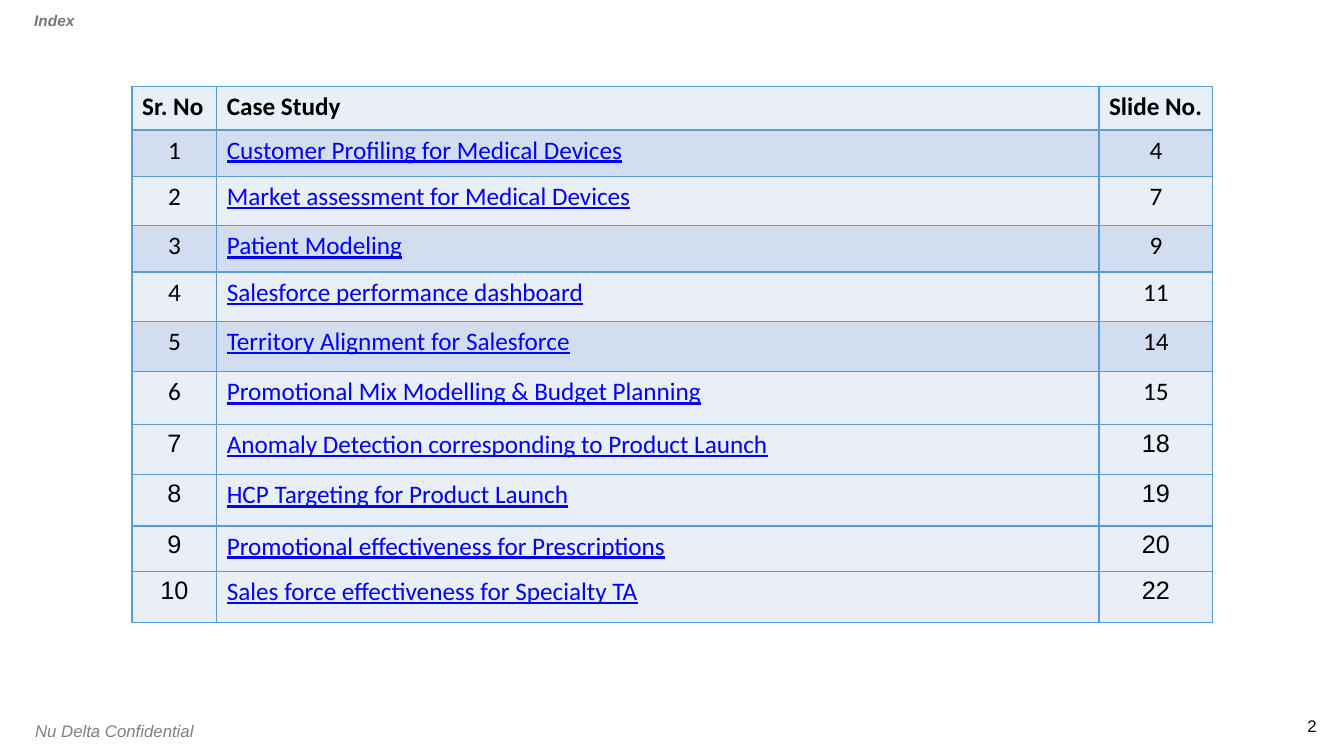
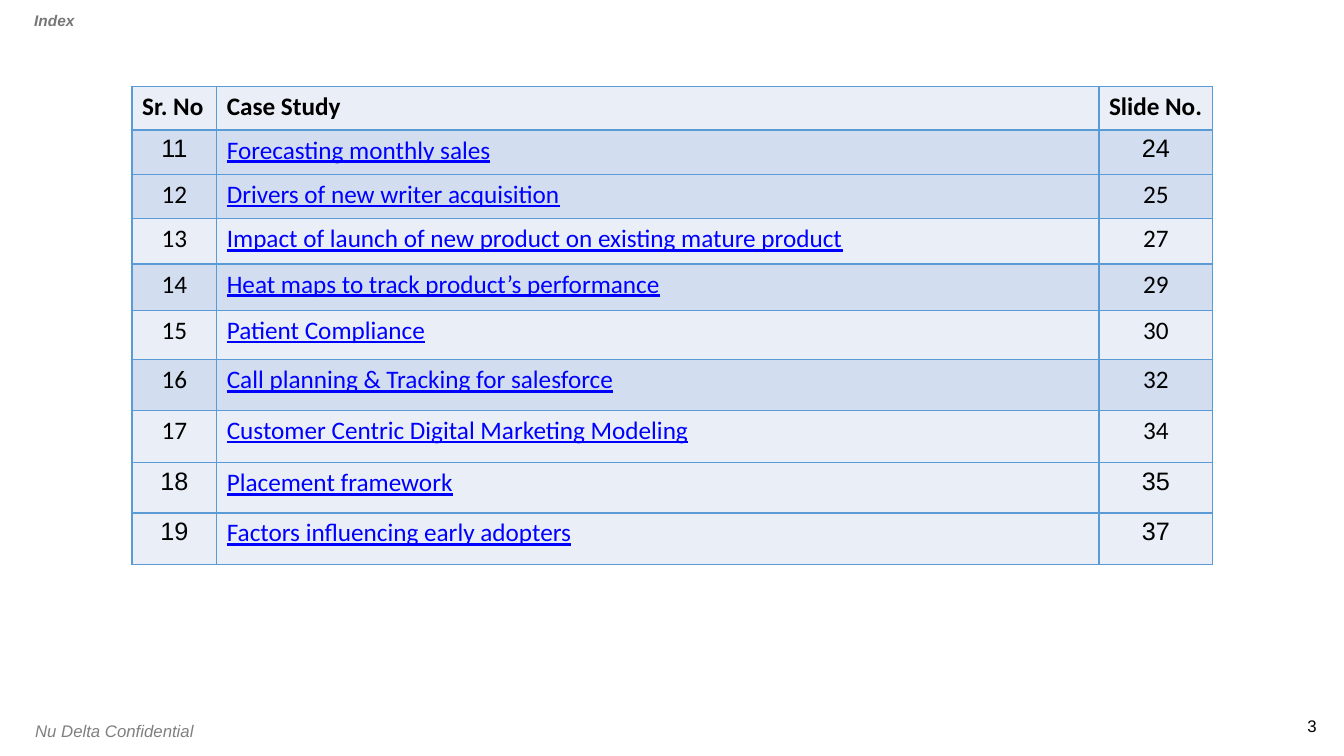
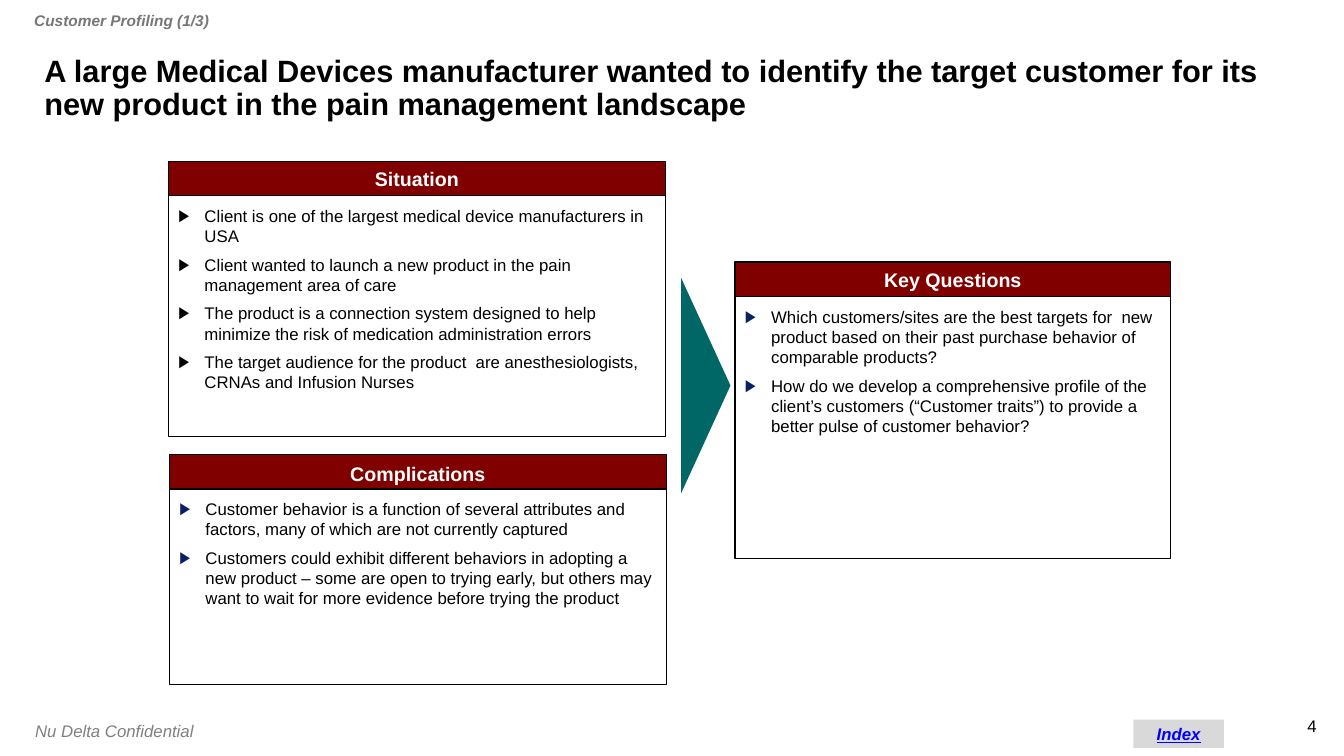
"""Builds two case study index slides and one customer profiling slide."""
from lxml import etree
from pptx import Presentation
from pptx.dml.color import RGBColor
from pptx.enum.shapes import MSO_SHAPE
from pptx.enum.text import MSO_ANCHOR, MSO_AUTO_SIZE, PP_ALIGN
from pptx.oxml.ns import qn
from pptx.util import Inches, Pt

RECT, TRIANGLE = MSO_SHAPE.RECTANGLE, MSO_SHAPE.ISOSCELES_TRIANGLE
LEFT, CENTER, RIGHT = PP_ALIGN.LEFT, PP_ALIGN.CENTER, PP_ALIGN.RIGHT
TOP, MIDDLE, BOTTOM = MSO_ANCHOR.TOP, MSO_ANCHOR.MIDDLE, MSO_ANCHOR.BOTTOM
NO_FIT = MSO_AUTO_SIZE.NONE
TITLE_ONLY, BLANK = 5, 6

COLORS = {
    "black": "000000", "white": "FFFFFF", "footer": "808080", "tag": "777777",
    "link": "0000FF", "border": "5B9BD5", "light": "EAEFF7", "dark": "D2DEEF",
    "bar": "800000", "arrow": "016666", "navy": "0B1F65", "button": "D9D9D9",
}
BODY_FONT, TABLE_FONT = "Arial", "Calibri"
PADDING = (0.1, 0.05, 0.1, 0.05)

HEADER = ("Sr. No", "Case Study", "Slide No.")
HEADER_HEIGHT = 0.43
COL_WIDTHS = (0.84, 8.75, 1.13)
DARK_ROWS = {1, 3, 5, 11, 12, 14, 16}
ARIAL_ROWS = {7, 8, 9, 10, 11, 18, 19}

FIRST_CASES = [
    ("Customer Profiling for Medical Devices", 4, 0.46),
    ("Market assessment for Medical Devices", 7, 0.49),
    ("Patient Modeling", 9, 0.46),
    ("Salesforce performance dashboard", 11, 0.49),
    ("Territory Alignment for Salesforce", 14, 0.5),
    ("Promotional Mix Modelling & Budget Planning", 15, 0.52),
    ("Anomaly Detection corresponding to Product Launch", 18, 0.5),
    ("HCP Targeting for Product Launch", 19, 0.51),
    ("Promotional effectiveness for Prescriptions", 20, 0.45),
    ("Sales force effectiveness for Specialty TA", 22, 0.51),
]
LATER_CASES = [
    ("Forecasting monthly sales", 24, 0.44),
    ("Drivers of new writer acquisition", 25, 0.44),
    ("Impact of launch of new product on existing mature product", 27, 0.45),
    ("Heat maps to track product’s performance", 29, 0.46),
    ("Patient Compliance", 30, 0.49),
    ("Call planning & Tracking for salesforce", 32, 0.5),
    ("Customer Centric Digital Marketing Modeling", 34, 0.52),
    ("Placement framework", 35, 0.5),
    ("Factors influencing early adopters", 37, 0.51),
]
SITUATION = [
    "Client is one of the largest medical device manufacturers in USA",
    "Client wanted to launch a new product in the pain management area of care",
    "The product is a connection system designed to help minimize the risk of "
    "medication administration errors",
    "The target audience for the product  are anesthesiologists, CRNAs and Infusion Nurses",
]
COMPLICATIONS = [
    "Customer behavior is a function of several attributes and factors, many of which "
    "are not currently captured",
    "Customers could exhibit different behaviors in adopting a new product – some are "
    "open to trying early, but others may want to wait for more evidence before trying "
    "the product",
]
KEY_QUESTIONS = [
    "Which customers/sites are the best targets for  new product based on their past "
    "purchase behavior of comparable products?",
    "How do we develop a comprehensive profile of the client’s customers (“Customer "
    "traits”) to provide a better pulse of customer behavior?",
]


def rgb(name):
    """Return the named colour."""
    return RGBColor.from_string(COLORS[name])


def style(p, size, color="black", font=BODY_FONT, align=LEFT, bold=False,
          italic=False, underline=False):
    """Format a paragraph and its runs."""
    p.alignment = align
    for r in p.runs:
        f = r.font
        f.size, f.name, f.bold, f.italic = Pt(size), font, bold, italic
        f.underline = underline
        f.color.rgb = rgb(color)


def frame(sp, padding=PADDING, anchor=TOP, wrap=True):
    """Set up the text frame of a shape and return it."""
    tf = sp.text_frame
    tf.auto_size, tf.word_wrap, tf.vertical_anchor = NO_FIT, wrap, anchor
    tf.margin_left, tf.margin_top, tf.margin_right, tf.margin_bottom = map(Inches, padding)
    return tf


def add_text(s, text, box, size, padding=PADDING, **look):
    """Add a one-line text box."""
    tf = frame(s.shapes.add_textbox(*map(Inches, box)), padding, wrap=False)
    tf.text = text
    style(tf.paragraphs[0], size, **look)
    return tf


def add_block(s, box, fill, kind=RECT, outlined=False):
    """Add a filled shape, with a thin black outline on request."""
    sp = s.shapes.add_shape(kind, *map(Inches, box))
    sp.shadow.inherit = False
    sp.fill.solid()
    sp.fill.fore_color.rgb = rgb(fill)
    if outlined:
        sp.line.color.rgb = rgb("black")
        sp.line.width = Pt(1)
    else:
        sp.line.fill.background()
    return sp


def add_label(sp, text, size, **look):
    """Write a centred bold label into a shape."""
    tf = frame(sp, anchor=MIDDLE, wrap=False)
    tf.text = text
    style(tf.paragraphs[0], size, align=CENTER, bold=True, **look)


def add_bullet(p, color):
    """Give a paragraph a coloured triangle bullet and a hanging indent."""
    pPr = p._p.get_or_add_pPr()
    pPr.set("marL", str(Inches(0.26)))
    pPr.set("indent", str(-Inches(0.26)))
    clr = etree.SubElement(pPr, qn("a:buClr"))
    etree.SubElement(clr, qn("a:srgbClr"), val=COLORS[color])
    etree.SubElement(pPr, qn("a:buFont"), typeface=BODY_FONT)
    etree.SubElement(pPr, qn("a:buChar"), char="▶")


def add_panel(s, title, bullets, bar, body_top, body_height, bullet_color):
    """Add a titled bar with a bulleted box below it."""
    left, _, width, _ = bar
    add_label(add_block(s, bar, "bar", outlined=True), title, 14, color="white")
    body = add_block(s, (left, body_top, width, body_height), "white", outlined=True)
    tf = frame(body, (0.1, 0.1, 0.1, 0.05))
    for i, text in enumerate(bullets):
        p = tf.add_paragraph() if i else tf.paragraphs[0]
        p.text = text
        add_bullet(p, bullet_color)
        style(p, 12)
        p.space_before = Pt(6 if i else 0)


def fill_cell(cell, text, fill, **look):
    """Write, border and fill a table cell."""
    cell.text = text
    style(cell.text_frame.paragraphs[0], 18, **look)
    tcPr = cell._tc.get_or_add_tcPr()
    for side in ("lnL", "lnR", "lnT", "lnB"):
        ln = etree.SubElement(tcPr, qn(f"a:{side}"), w=str(Pt(1)))
        solid = etree.SubElement(ln, qn("a:solidFill"))
        etree.SubElement(solid, qn("a:srgbClr"), val=COLORS["border"])
    cell.fill.solid()
    cell.fill.fore_color.rgb = rgb(fill)


def add_index_table(s, cases, first_number):
    """Add a table of numbered case studies."""
    heights = [HEADER_HEIGHT] + [height for _, _, height in cases]
    box = (1.31, 0.86, sum(COL_WIDTHS), sum(heights))
    table = s.shapes.add_table(len(heights), len(HEADER), *map(Inches, box)).table
    table.horz_banding = False
    for col, width in zip(table.columns, COL_WIDTHS):
        col.width = Inches(width)
    for row, height in zip(table.rows, heights):
        row.height = Inches(height)
    for c, text in enumerate(HEADER):
        fill_cell(table.cell(0, c), text, "light", font=TABLE_FONT, bold=True)
    for i, (name, page, _) in enumerate(cases):
        number = first_number + i
        fill = "dark" if number in DARK_ROWS else "light"
        font = BODY_FONT if number in ARIAL_ROWS else TABLE_FONT
        row = i + 1
        fill_cell(table.cell(row, 0), str(number), fill, font=font, align=CENTER)
        fill_cell(table.cell(row, 1), name, fill, font=TABLE_FONT, color="link",
                  underline=True)
        fill_cell(table.cell(row, 2), str(page), fill, font=font, align=CENTER)


def add_slide(prs, layout, tag, tag_width, page):
    """Add a slide with its section tag, footer and page number."""
    s = prs.slides.add_slide(prs.slide_layouts[layout])
    add_text(s, str(page), (12.85, 7.1, 0.21, 0.2), 12, (0, 0, 0, 0), align=RIGHT)
    add_text(s, "Nu Delta Confidential", (0.25, 7.1, 2.46, 0.3), 12, color="footer",
             italic=True).word_wrap = True
    tf = add_text(s, tag, (0.24, 0.08, tag_width, 0.27), 11, color="tag", bold=True,
                  italic=True)
    tf.paragraphs[0].line_spacing = 0.9
    return s


def set_title(s, text):
    """Place and format the slide title."""
    sp = s.shapes.title
    sp.left, sp.top, sp.width, sp.height = map(Inches, (0.44, 0.29, 12.34, 0.92))
    tf = frame(sp, (0, 0, 0, 0), BOTTOM)
    tf.text = text
    p = tf.paragraphs[0]
    style(p, 22, bold=True)
    p.line_spacing = 0.9


def add_profiling_slide(prs):
    """Add the customer profiling slide."""
    s = add_slide(prs, TITLE_ONLY, "Customer Profiling (1/3)", 1.95, 4)
    set_title(s, "A large Medical Devices manufacturer wanted to identify the target "
                 "customer for its new product in the pain management landscape")
    add_panel(s, "Situation", SITUATION, (1.67, 1.6, 4.93, 0.35), 1.94, 2.39, "black")
    arrow = add_block(s, (5.93, 3.58, 2.14, 0.49), "arrow", TRIANGLE)
    arrow.rotation = 90
    add_panel(s, "Complications", COMPLICATIONS, (1.68, 4.51, 4.93, 0.38), 4.85, 1.94,
              "navy")
    add_panel(s, "Key Questions", KEY_QUESTIONS, (7.29, 2.6, 4.32, 0.34), 2.94, 2.6,
              "navy")
    button = add_block(s, (11.24, 7.14, 0.9, 0.28), "button")
    add_label(button, "Index", 12, color="link", italic=True, underline=True)


def main():
    """Build and save the presentation."""
    prs = Presentation()
    prs.slide_width, prs.slide_height = Inches(13.33), Inches(7.5)
    for page, cases, first_number in ((2, FIRST_CASES, 1), (3, LATER_CASES, 11)):
        s = add_slide(prs, BLANK, "Index", 0.61, page)
        add_index_table(s, cases, first_number)
    add_profiling_slide(prs)
    prs.save("out.pptx")


if __name__ == "__main__":
    main()
